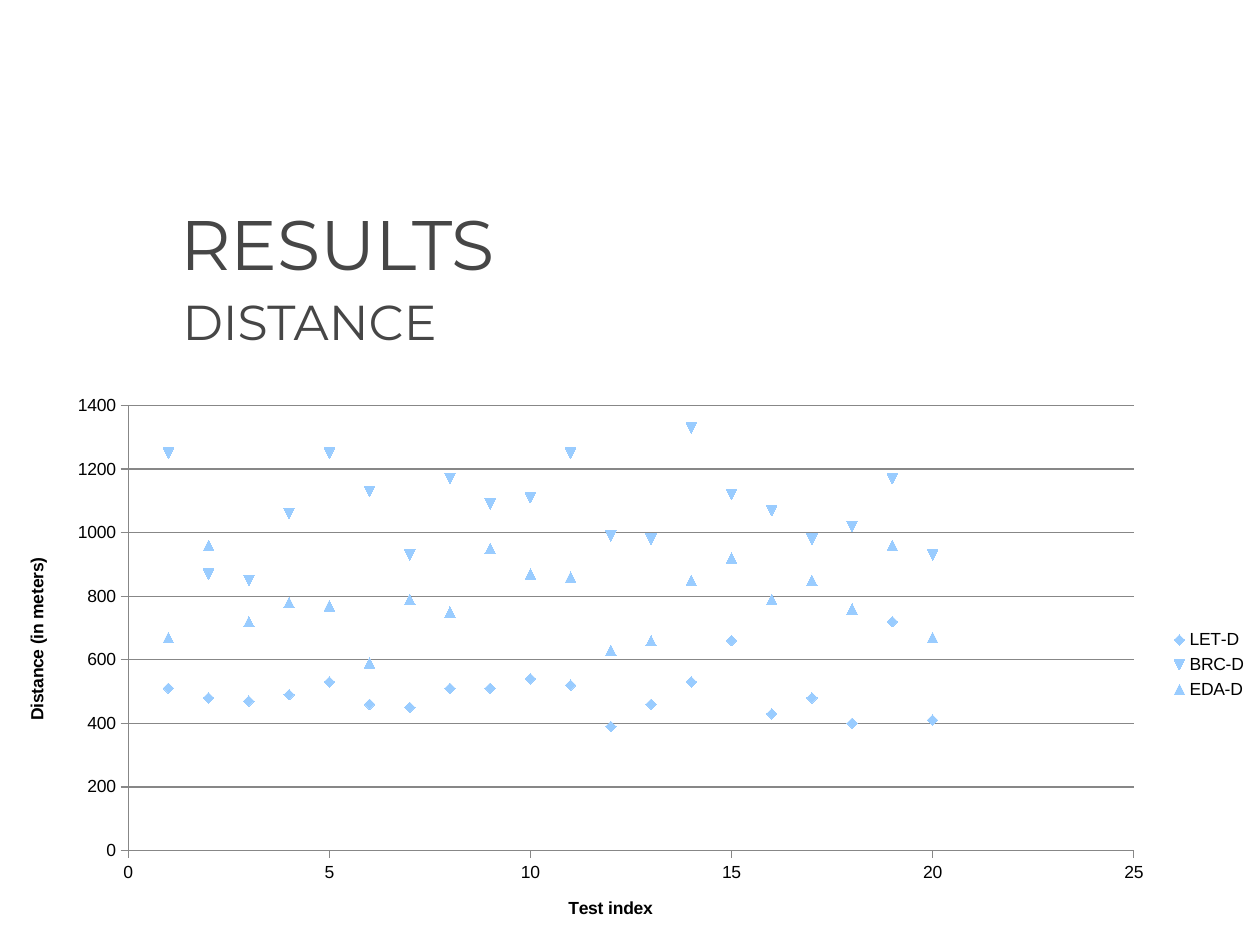
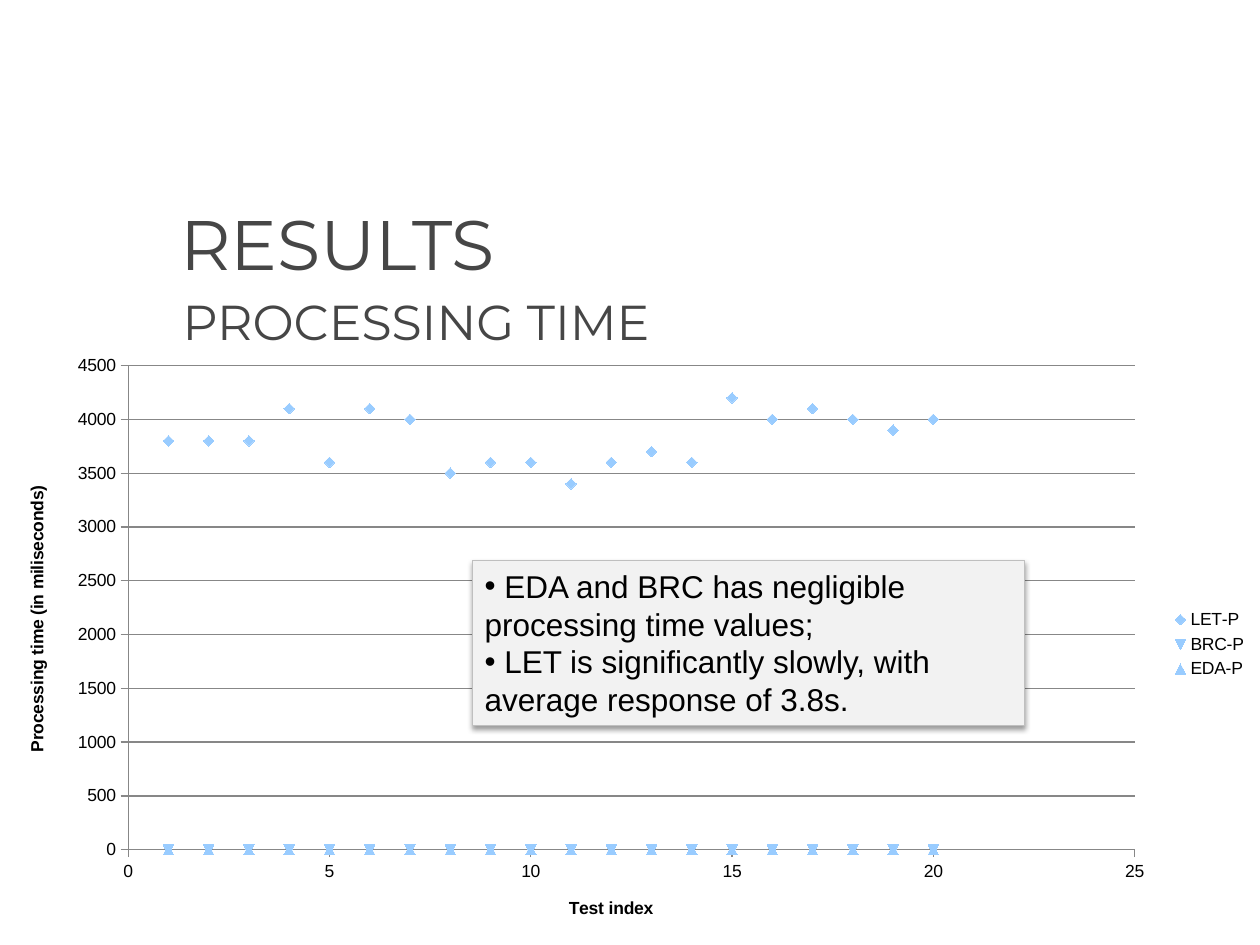
import lxml.etree
import pptx
import pptx.chart.data
import pptx.dml.color
import pptx.enum.chart
import pptx.enum.shapes
import pptx.enum.text
import pptx.oxml.ns
import pptx.util

Cm = pptx.util.Cm
Pt = pptx.util.Pt
qn = pptx.oxml.ns.qn

SLIDE_W, SLIDE_H = 25.4, 19.05
HEADING_BOX = (3.38, 3.61, 21.39, 2.54)
SUBHEADING_BOX = (3.43, 5.59, 21.39, 1.75)
INK, BLACK, GRID, MARKER = "464646", "000000", "878787", "99CCFF"
PANEL, PANEL_EDGE = "F2F2F2", "BFBFBF"
TESTS = range(1, 21)

DISTANCES = {
    "LET-D": [510, 480, 470, 490, 530, 460, 450, 510, 510, 540,
              520, 390, 460, 530, 660, 430, 480, 400, 720, 410],
    "BRC-D": [1250, 870, 850, 1060, 1250, 1130, 930, 1170, 1090, 1110,
              1250, 990, 980, 1330, 1120, 1070, 980, 1020, 1170, 930],
    "EDA-D": [670, 960, 720, 780, 770, 590, 790, 750, 950, 870,
              860, 630, 660, 850, 920, 790, 850, 760, 960, 670],
}
TIMES = {
    "LET-P": [3800, 3800, 3800, 4100, 3600, 4100, 4000, 3500, 3600, 3600,
              3400, 3600, 3700, 3600, 4200, 4000, 4100, 4000, 3900, 4000],
    "BRC-P": [0] * len(TESTS),
    "EDA-P": [0] * len(TESTS),
}
FINDINGS = [
    " EDA and BRC has negligible processing time values;",
    " LET is significantly slowly, with average response of 3.8s.",
]


def rgb(value):
    """Turn a hex string into a colour."""
    return pptx.dml.color.RGBColor.from_string(value)


def apply(target, **values):
    """Set each given attribute on the target."""
    for name, value in values.items():
        setattr(target, name, value)


def style_font(font, size, color, face="Arial", bold=False):
    """Give a font its face, size, weight and colour."""
    apply(font, name=face, size=Pt(size), bold=bold)
    font.color.rgb = rgb(color)


def style_line(line, color, width=0.75):
    """Give a line its colour and width."""
    line.color.rgb = rgb(color)
    line.width = Pt(width)


def add_heading(slide, box, text, size):
    """Add one line of heading text, centred vertically in its box."""
    frame = slide.shapes.add_textbox(*map(Cm, box)).text_frame
    apply(frame, word_wrap=True, text=text,
          vertical_anchor=pptx.enum.text.MSO_ANCHOR.MIDDLE)
    style_font(frame.paragraphs[0].runs[0].font, size, INK, "Montserrat")


def style_axis(axis, title, maximum, step, gridlines):
    """Set the scale, title and lines of an axis."""
    apply(axis, minimum_scale=0, maximum_scale=maximum, major_unit=step,
          has_major_gridlines=gridlines, has_title=True,
          major_tick_mark=pptx.enum.chart.XL_TICK_MARK.OUTSIDE,
          minor_tick_mark=pptx.enum.chart.XL_TICK_MARK.NONE)
    style_line(axis.format.line, GRID)
    if gridlines:
        style_line(axis.major_gridlines.format.line, GRID)
    axis.axis_title.text_frame.text = title
    label = axis.axis_title.text_frame.paragraphs[0].runs[0]
    style_font(label.font, 10, BLACK, bold=True)


def add_scatter(slide, box, measure, results, maximum, step):
    """Plot the results of every algorithm against the test index."""
    data = pptx.chart.data.XyChartData()
    for algorithm, values in results.items():
        points = data.add_series(algorithm)
        for test, value in zip(TESTS, values):
            points.add_data_point(test, value)
    chart = slide.shapes.add_chart(
        pptx.enum.chart.XL_CHART_TYPE.XY_SCATTER, *map(Cm, box), data).chart
    apply(chart, has_title=False, has_legend=True)
    style_font(chart.font, 10, BLACK)
    apply(chart.legend, include_in_layout=False,
          position=pptx.enum.chart.XL_LEGEND_POSITION.RIGHT)
    style_axis(chart.category_axis, "Test index", 25, 5, False)
    style_axis(chart.value_axis, measure, maximum, step, True)
    chart.plots[0].vary_by_categories = False
    for series in chart.plots[0].series:
        series.smooth = False
        series.format.line.fill.background()
        series.marker.size = 6
        series.marker.format.fill.solid()
        series.marker.format.fill.fore_color.rgb = rgb(MARKER)
        series.marker.format.line.fill.background()


def add_shadow(shape):
    """Cast a soft shadow straight down."""
    shape.shadow.inherit = False
    effects = shape._element.spPr.find(qn("a:effectLst"))
    shadow = lxml.etree.SubElement(
        effects, qn("a:outerShdw"), blurRad=str(Pt(3.1)), dist=str(Pt(1.6)),
        dir="5400000", algn="t", rotWithShape="0")
    color = lxml.etree.SubElement(shadow, qn("a:srgbClr"), val=BLACK)
    lxml.etree.SubElement(color, qn("a:alpha"), val="38000")


def add_findings(slide, box, findings):
    """Add a shaded panel with bulleted findings."""
    panel = slide.shapes.add_shape(
        pptx.enum.shapes.MSO_SHAPE.RECTANGLE, *map(Cm, box))
    panel.fill.solid()
    panel.fill.fore_color.rgb = rgb(PANEL)
    style_line(panel.line, PANEL_EDGE)
    add_shadow(panel)
    frame = panel.text_frame
    apply(frame, word_wrap=True, text="\n".join(findings),
          vertical_anchor=pptx.enum.text.MSO_ANCHOR.TOP,
          auto_size=pptx.enum.text.MSO_AUTO_SIZE.SHAPE_TO_FIT_TEXT)
    for paragraph in frame.paragraphs:
        paragraph.alignment = pptx.enum.text.PP_ALIGN.LEFT
        style_font(paragraph.runs[0].font, 18, BLACK)
        bullets = paragraph._p.get_or_add_pPr()
        lxml.etree.SubElement(bullets, qn("a:buFont"), typeface="Arial")
        lxml.etree.SubElement(bullets, qn("a:buChar"), char="•")


def add_results_slide(deck, topic, top, measure, results, maximum, step):
    """Add a results slide with its chart reaching the bottom edge."""
    slide = deck.slides.add_slide(deck.slide_layouts[6])
    add_heading(slide, HEADING_BOX, "RESULTS", 40)
    add_scatter(slide, (0, top, SLIDE_W, SLIDE_H - top),
                measure, results, maximum, step)
    add_heading(slide, SUBHEADING_BOX, topic, 28)
    return slide


def main():
    """Build and save the deck."""
    deck = pptx.Presentation()
    apply(deck, slide_width=Cm(SLIDE_W), slide_height=Cm(SLIDE_H))
    add_results_slide(deck, "DISTANCE", 7.75, "Distance (in meters)",
                      DISTANCES, 1400, 200)
    timing = add_results_slide(deck, "PROCESSING TIME", 6.93,
                               "Processing time (in miliseconds)",
                               TIMES, 4500, 500)
    add_findings(timing, (9.52, 11.3, 11.13, 3.33), FINDINGS)
    deck.save("out.pptx")


if __name__ == "__main__":
    main()
